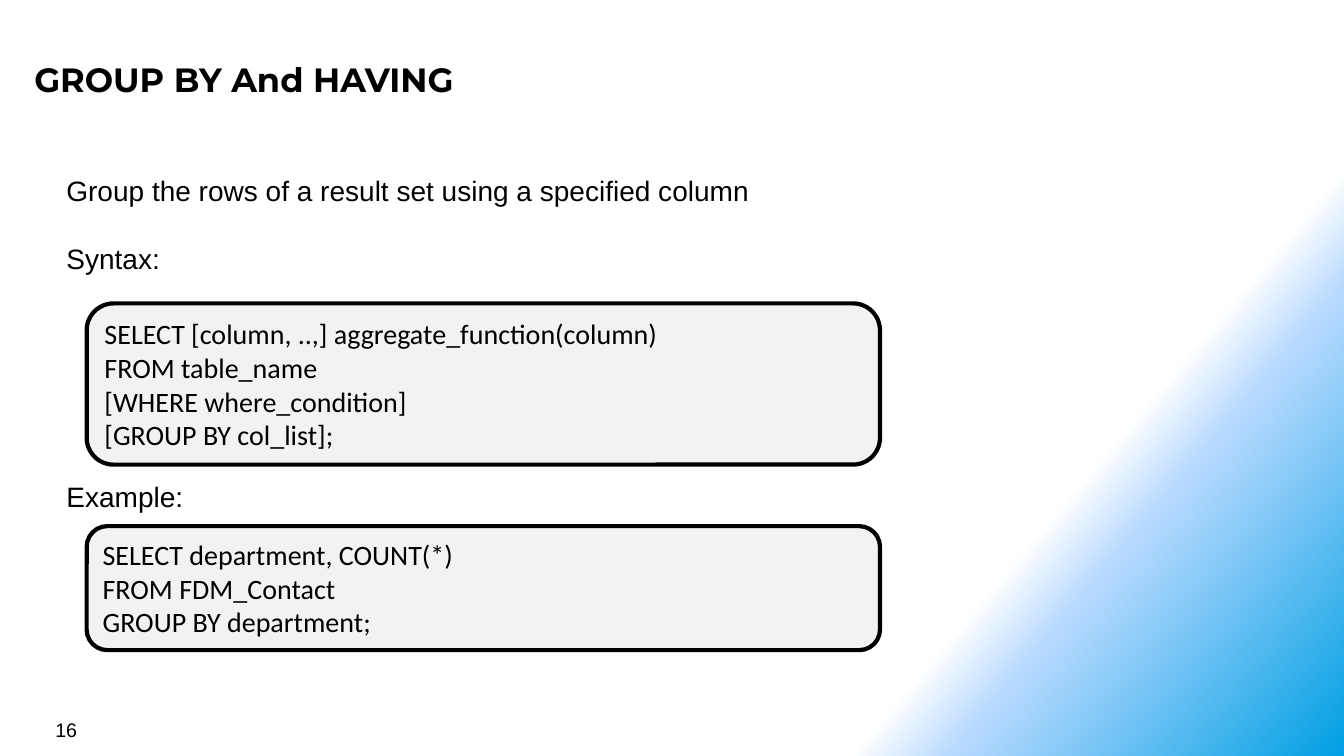
from dataclasses import dataclass

from lxml.etree import SubElement
from pptx import Presentation
from pptx.dml.color import RGBColor
from pptx.enum.shapes import MSO_SHAPE
from pptx.enum.text import MSO_ANCHOR, MSO_AUTO_SIZE, PP_ALIGN
from pptx.oxml.ns import qn
from pptx.util import Inches, Pt


@dataclass(frozen=True)
class Theme:
    ink: str = "000000"
    panel: str = "F2F2F2"
    head: tuple = ("Montserrat", 24, True)
    body: tuple = ("Arial", 20, False)
    code: tuple = ("Calibri", 20, False)
    foot: tuple = ("Arial", 14, False)
    border: int = 3
    # position %, colour, opacity %
    stops: tuple = ((75, "FFFFFF", 100), (80, "B9DAFF", 50), (100, "009FE3", 100))
    angle: int = 40


THEME = Theme()
WIDE, HIGH = Inches(13.33), Inches(7.5)
CODE_LEFT, CODE_WIDE = 6.45, 59.03

SYNTAX = (
    "SELECT [column, ..,] aggregate_function(column)",
    "FROM table_name",
    "[WHERE where_condition]",
    "[GROUP BY col_list];",
)
EXAMPLE = (
    "SELECT department, COUNT(*)",
    "FROM FDM_Contact",
    "GROUP BY department;",
)
# text, points of space before
LABELS = (
    ("Group the rows of a result set using a specified column", 0),
    ("Syntax:", 24.4),
    ("Example:", 146),
)


def area(left, top, wide, high):
    """Turn percentages of the slide into lengths."""
    return (int(WIDE * left / 100), int(HIGH * top / 100),
            int(WIDE * wide / 100), int(HIGH * high / 100))


def apply(item, values):
    for key, value in values.items():
        setattr(item, key, value)


def write(shape, lines, style, anchor=MSO_ANCHOR.MIDDLE, inset=None):
    """Fill a shape with (text, space before) lines in one type style."""
    frame = shape.text_frame
    apply(frame, {"word_wrap": True, "auto_size": MSO_AUTO_SIZE.NONE,
                  "vertical_anchor": anchor})
    if inset is not None:
        sides = ("left", "top", "right", "bottom")
        apply(frame, {f"margin_{side}": Inches(inset) for side in sides})
    name, size, bold = style
    for row, (text, space) in enumerate(lines):
        para = frame.add_paragraph() if row else frame.paragraphs[0]
        para.alignment = PP_ALIGN.LEFT
        if space:
            para.space_before = Pt(space)
        run = para.add_run()
        run.text = text
        apply(run.font, {"name": name, "size": Pt(size), "bold": bold})
        run.font.color.rgb = RGBColor.from_string(THEME.ink)


def add_back(slide):
    fill = slide.background.fill
    fill.gradient()
    fill.gradient_angle = 360 - THEME.angle
    stops = next(slide.element.iter(qn("a:gsLst")))
    for old in list(stops):
        stops.remove(old)
    for place, tone, alpha in THEME.stops:
        stop = SubElement(stops, qn("a:gs"), pos=str(place * 1000))
        color = SubElement(stop, qn("a:srgbClr"), val=tone)
        if alpha < 100:
            SubElement(color, qn("a:alpha"), val=str(alpha * 1000))


def add_title(slide, text, place):
    title = slide.shapes.title
    apply(title, dict(zip(("left", "top", "width", "height"), area(*place))))
    write(title, [(text, 0)], THEME.head, inset=0.08)


def add_text(slide, lines, place, style, anchor):
    write(slide.shapes.add_textbox(*area(*place)), lines, style, anchor)


def add_code(slide, lines, top, high):
    place = area(CODE_LEFT, top, CODE_WIDE, high)
    panel = slide.shapes.add_shape(MSO_SHAPE.ROUNDED_RECTANGLE, *place)
    panel.shadow.inherit = False
    panel.fill.solid()
    panel.fill.fore_color.rgb = RGBColor.from_string(THEME.panel)
    panel.line.color.rgb = RGBColor.from_string(THEME.ink)
    panel.line.width = Pt(THEME.border)
    write(panel, [(line, 0) for line in lines], THEME.code)


def main():
    deck = Presentation()
    apply(deck, {"slide_width": WIDE, "slide_height": HIGH})
    slide = deck.slides.add_slide(deck.slide_layouts.get_by_name("Title Only"))
    add_back(slide)
    add_title(slide, "GROUP BY And HAVING", (1.95, 6.8, 91.95, 7.33))
    add_text(slide, [("16", 0)], (3.38, 94.27, 23.33, 4.4),
             THEME.foot, MSO_ANCHOR.MIDDLE)
    add_text(slide, LABELS, (4.2, 22.27, 63.9, 46.27),
             THEME.body, MSO_ANCHOR.TOP)
    add_code(slide, SYNTAX, 40.13, 21.33)
    add_code(slide, EXAMPLE, 69.6, 16.4)
    deck.save("out.pptx")


if __name__ == "__main__":
    main()
